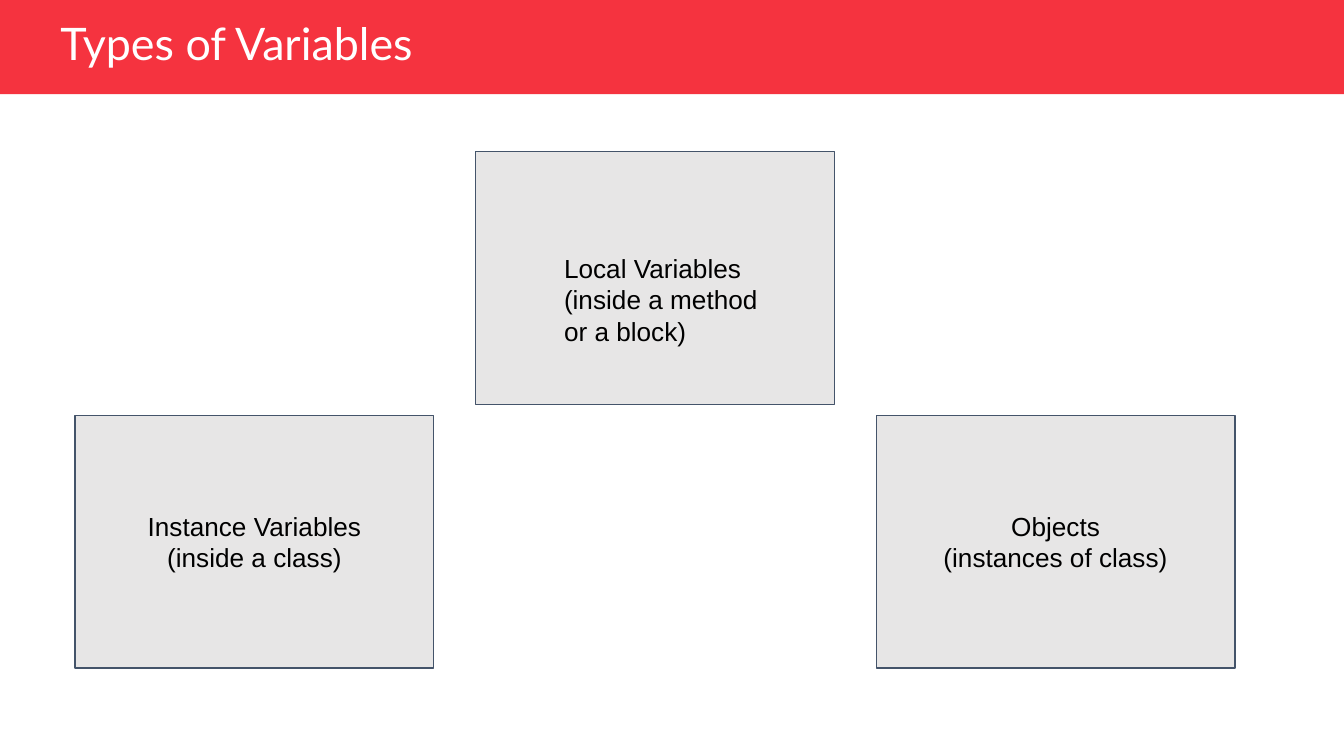
from pptx import Presentation
from pptx.dml.color import RGBColor
from pptx.enum.shapes import MSO_SHAPE as Shape
from pptx.enum.text import MSO_ANCHOR as Anchor, PP_ALIGN as Align
from pptx.util import Cm, Pt


def colour(hex_code):
    return RGBColor.from_string(hex_code)


class VariableSlide:
    RED, GREY, SLATE = "F5333F", "E7E6E6", "44546A"
    WHITE, BLACK = "FFFFFF", "000000"
    HEADING_FONT, BODY_FONT = "Lato", "Arial"
    HEADING_SIZE, BODY_SIZE = 24, 14
    INSET = 0.25

    def __init__(self, deck):
        self.slide = deck.slides.add_slide(deck.slide_layouts[6])

    def rectangle(self, left, top, width, height, fill, line=None):
        rect = self.slide.shapes.add_shape(
            Shape.RECTANGLE, Cm(left), Cm(top), Cm(width), Cm(height))
        rect.shadow.inherit = False
        rect.fill.solid()
        rect.fill.fore_color.rgb = colour(fill)
        if line:
            rect.line.color.rgb = colour(line)
            rect.line.width = Pt(0.75)
        else:
            rect.line.fill.background()
        return rect

    def set_text(self, shape, lines, font, size, hex_code, align, anchor, inset):
        """Fill a shape's text frame, one paragraph per line."""
        frame = shape.text_frame
        frame.word_wrap = True
        frame.vertical_anchor = anchor
        frame.margin_left = frame.margin_right = Cm(self.INSET)
        frame.margin_top = frame.margin_bottom = Cm(inset)
        frame.text = "\n".join(lines)
        for paragraph in frame.paragraphs:
            paragraph.alignment = align
            paragraph.font.name = font
            paragraph.font.size = Pt(size)
            paragraph.font.color.rgb = colour(hex_code)

    def text_box(self, left, top, width, height):
        return self.slide.shapes.add_textbox(
            Cm(left), Cm(top), Cm(width), Cm(height))

    def heading(self, text):
        self.rectangle(0, 0, 25.4, 1.78, self.RED)
        title = self.text_box(0.89, 0.33, 10.39, 1.07)
        self.set_text(title, [text], self.HEADING_FONT, self.HEADING_SIZE,
                      self.WHITE, Align.LEFT, Anchor.MIDDLE, 0.13)
        title.text_frame.paragraphs[0].line_spacing = 0.9

    def card(self, left, top):
        return self.rectangle(left, top, 6.78, 4.78, self.GREY, self.SLATE)

    def label(self, shape, lines, align=Align.CENTER, anchor=Anchor.MIDDLE):
        self.set_text(shape, lines, self.BODY_FONT, self.BODY_SIZE,
                      self.BLACK, align, anchor, self.INSET)


def main():
    deck = Presentation()
    deck.slide_width, deck.slide_height = Cm(25.4), Cm(14.29)
    page = VariableSlide(deck)
    page.heading("Types of Variables")

    first_left, step = 1.42, 7.57
    upper_top, lower_top = 2.87, 7.85
    page.card(first_left + step, upper_top)
    lower_cards = {
        0: ["Instance Variables", "(inside a class)"],
        2: ["Objects", "(instances of class)"],
    }
    for column, lines in lower_cards.items():
        page.label(page.card(first_left + column * step, lower_top), lines)

    local_variables = page.text_box(10.41, 4.52, 4.55, 1.91)
    page.label(local_variables,
               ["Local Variables", "(inside a method or a block)"],
               Align.LEFT, Anchor.TOP)

    deck.save("out.pptx")


if __name__ == "__main__":
    main()
